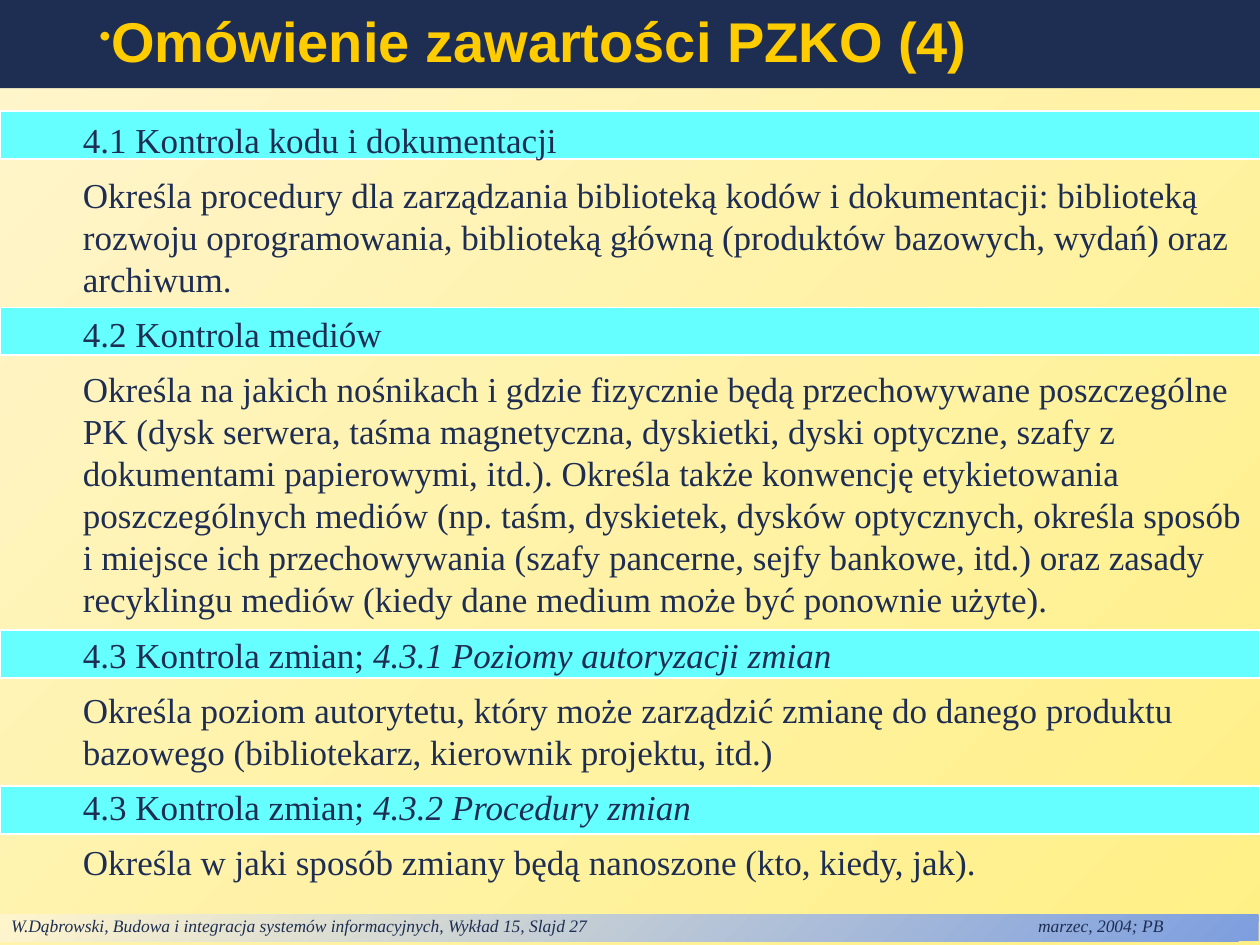
from lxml import etree
from pptx import Presentation
from pptx.dml.color import RGBColor
from pptx.enum import shapes, text
from pptx.oxml.ns import qn
from pptx.util import Inches, Pt

NAVY = RGBColor(0x1E, 0x2E, 0x53)
GOLD = RGBColor(0xFF, 0xCC, 0x00)
CYAN = RGBColor(0x66, 0xFF, 0xFF)
WHITE = RGBColor(0xFF, 0xFF, 0xFF)
YELLOW = RGBColor(0xFF, 0xF0, 0x85)
CREAM = RGBColor(0xFF, 0xF5, 0xCD)
BLUE = RGBColor(0x7D, 0x9E, 0xDF)


def add_gradient(fill, start):
    """Blend from start at the bottom right to cream at the top left."""
    fill.gradient()
    fill.gradient_angle = 135
    for stop, color, position in zip(fill.gradient_stops, (start, CREAM), (0, 1)):
        stop.color.rgb = color
        stop.position = position


def add_run(p, words, size, color=NAVY, font="Times New Roman", bold=False, italic=False):
    r = p.add_run()
    r.text = words
    r.font.name, r.font.size = font, Pt(size)
    r.font.bold, r.font.italic = bold, italic
    r.font.color.rgb = color


prs = Presentation()
prs.slide_width, prs.slide_height = Inches(10), Inches(7.5)
s = prs.slides.add_slide(prs.slide_layouts[6])
add_gradient(s.background.fill, YELLOW)

# Footer
footer = s.shapes.add_shape(shapes.MSO_SHAPE.RECTANGLE, Inches(-0.01), Inches(7.26),
                            Inches(10), Inches(0.21))
footer.shadow.inherit = False
add_gradient(footer.fill, BLUE)
footer.line.fill.background()
tf = footer.text_frame
tf.margin_top, tf.margin_bottom = 0, Inches(0.04)
tf.vertical_anchor = text.MSO_ANCHOR.TOP
p = tf.paragraphs[0]
p.alignment = text.PP_ALIGN.LEFT
tabs = etree.SubElement(p._p.get_or_add_pPr(), qn("a:tabLst"))
etree.SubElement(tabs, qn("a:tab"), pos=str(Inches(8.15)), algn="l")
add_run(p, "W.Dąbrowski, Budowa i integracja systemów informacyjnych, "
           "Wykład 15, Slajd 27\tmarzec, 2004; PB", 10, italic=True)

# Bands behind the section headings
for top in (0.88, 2.44, 5, 6.24):
    band = s.shapes.add_shape(shapes.MSO_SHAPE.RECTANGLE, 0, Inches(top),
                              Inches(10), Inches(0.38))
    band.shadow.inherit = False
    band.fill.solid()
    band.fill.fore_color.rgb = CYAN
    band.line.color.rgb = WHITE
    band.line.width = Pt(1)

# Title
title = s.shapes.add_shape(shapes.MSO_SHAPE.RECTANGLE, 0, 0, Inches(10), Inches(0.7))
title.shadow.inherit = False
title.fill.solid()
title.fill.fore_color.rgb = NAVY
title.line.fill.background()
tf = title.text_frame
tf.vertical_anchor = text.MSO_ANCHOR.MIDDLE
p = tf.paragraphs[0]
p.alignment = text.PP_ALIGN.LEFT
p.line_spacing = 0.9
pPr = p._p.get_or_add_pPr()
pPr.set("marL", str(Inches(0.29)))
pPr.set("indent", str(Inches(0.4)))
bullet_color = etree.SubElement(pPr, qn("a:buClr"))
etree.SubElement(bullet_color, qn("a:srgbClr"), val=str(GOLD))
etree.SubElement(pPr, qn("a:buSzPct"), val="60000")
etree.SubElement(pPr, qn("a:buChar"), char="•")
add_run(p, "Omówienie zawartości PZKO (4)", 32, GOLD, "Arial", bold=True)

# Body: each paragraph is a plain part and an optional italic part
paragraphs = [
    ("4.1 Kontrola kodu i dokumentacji", ""),
    ("Określa procedury dla zarządzania biblioteką kodów i dokumentacji: biblioteką "
     "rozwoju oprogramowania, biblioteką główną (produktów bazowych, wydań) oraz "
     "archiwum.", ""),
    ("4.2 Kontrola mediów", ""),
    ("Określa na jakich nośnikach i gdzie fizycznie będą przechowywane poszczególne "
     "PK (dysk serwera, taśma magnetyczna, dyskietki, dyski optyczne, szafy z "
     "dokumentami papierowymi, itd.). Określa także konwencję etykietowania "
     "poszczególnych mediów (np. taśm, dyskietek, dysków optycznych, określa sposób "
     "i miejsce ich przechowywania (szafy pancerne, sejfy bankowe, itd.) oraz zasady "
     "recyklingu mediów (kiedy dane medium może być ponownie użyte).", ""),
    ("4.3 Kontrola zmian; ", "4.3.1 Poziomy autoryzacji zmian"),
    ("Określa poziom autorytetu, który może zarządzić zmianę do danego produktu "
     "bazowego (bibliotekarz, kierownik projektu, itd.)", ""),
    ("4.3 Kontrola zmian; ", "4.3.2 Procedury zmian"),
    ("Określa w jaki sposób zmiany będą nanoszone (kto, kiedy, jak).", ""),
]
body = s.shapes.add_textbox(Inches(0.56), Inches(0.89), Inches(9.44), Inches(6.17))
tf = body.text_frame
tf.word_wrap = True
for i, (plain, italic) in enumerate(paragraphs):
    p = tf.add_paragraph() if i else tf.paragraphs[0]
    p.line_spacing = Pt(24)
    p.space_after = Pt(7.5)
    add_run(p, plain, 20)
    if italic:
        add_run(p, italic, 20, italic=True)

prs.save("out.pptx")
